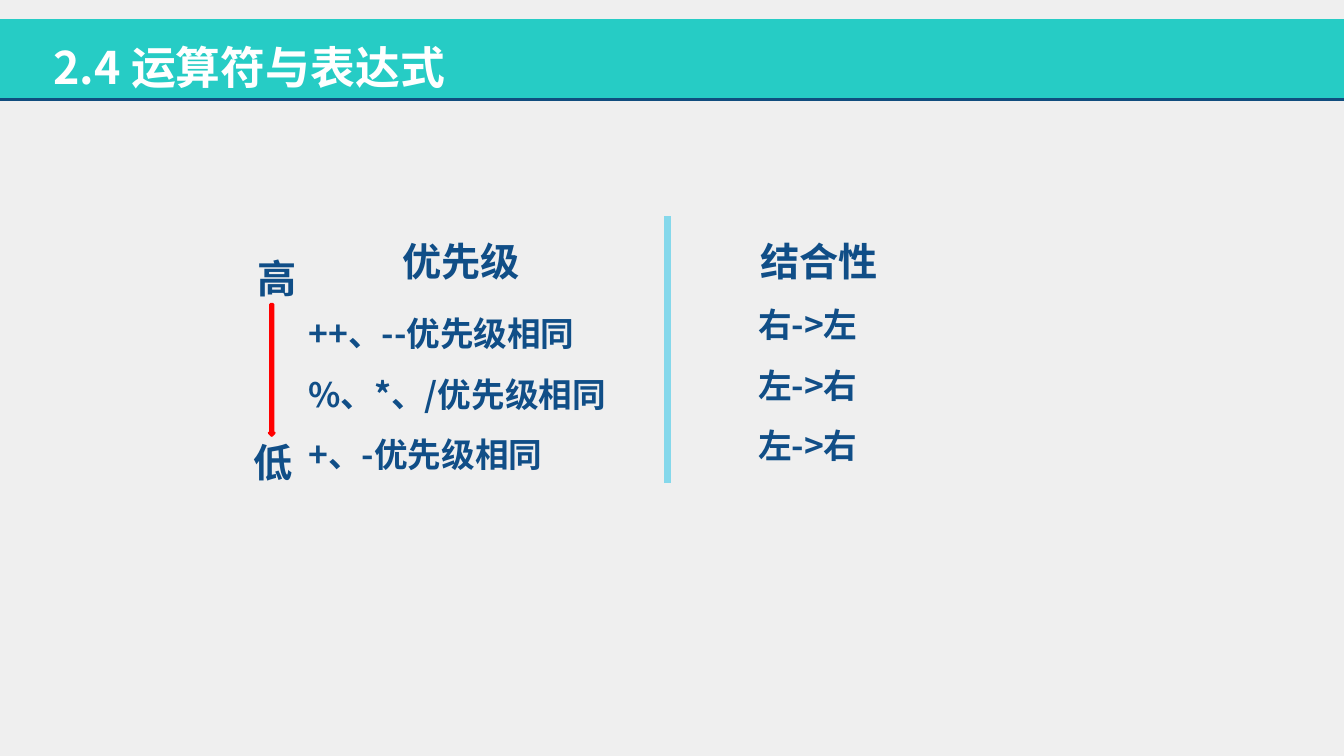
from lxml import etree
from pptx import Presentation
from pptx.dml.color import RGBColor
from pptx.enum.shapes import MSO_CONNECTOR, MSO_SHAPE
from pptx.enum.text import MSO_ANCHOR as ANCHOR, MSO_AUTO_SIZE as AUTO_SIZE, PP_ALIGN as ALIGN
from pptx.oxml.ns import qn
from pptx.util import Inches, Pt

NAVY = "104E87"


def rgb(value):
    return RGBColor.from_string(value)


def write(frame, lines, size, color=NAVY, font="Noto Sans CJK SC", spacing=None):
    frame.word_wrap = True
    frame.auto_size = AUTO_SIZE.NONE
    for i, line in enumerate(lines):
        para = frame.add_paragraph() if i else frame.paragraphs[0]
        para.alignment = ALIGN.LEFT
        if spacing:
            para.line_spacing = spacing
        run = para.add_run()
        run.text = line
        run.font.size, run.font.bold, run.font.name = Pt(size), True, font
        run.font.color.rgb = rgb(color)
        # East Asian typeface
        etree.SubElement(run._r.get_or_add_rPr(), qn("a:ea"), typeface=font)


prs = Presentation()
prs.slide_width, prs.slide_height = Inches(13.33), Inches(7.5)
slide = prs.slides.add_slide(prs.slide_layouts[5])
slide.background.fill.solid()
slide.background.fill.fore_color.rgb = rgb("EFEFEF")
shapes = slide.shapes

# Header band and priority arrow
for kind, box, fill, outline in [
    (MSO_SHAPE.RECTANGLE, (0, 0.19, 13.33, 0.8), "26CCC5", None),
    (MSO_SHAPE.DOWN_ARROW, (2.67, 3.02, 0.05, 1.3), "3B9AE6", "FF0000"),
]:
    part = shapes.add_shape(kind, *map(Inches, box))
    part.shadow.inherit = False
    part.fill.solid()
    part.fill.fore_color.rgb = rgb(fill)
    if outline:
        part.line.color.rgb = rgb(outline)
        part.line.width = Pt(2)
    else:
        part.line.fill.background()

# Header rule and column divider
for ends, color, width in [
    ((0, 0.99, 13.33, 0.99), "104D7E", 2),
    ((6.62, 4.79, 6.62, 2.14), "85D8EB", 4.5),
]:
    rule = shapes.add_connector(MSO_CONNECTOR.STRAIGHT, *map(Inches, ends))
    rule.line.color.rgb = rgb(color)
    rule.line.width = Pt(width)
    etree.SubElement(rule._element.spPr, qn("a:effectLst"))

# Title, placed in front of the band
title = shapes.title
title.left, title.top, title.width, title.height = map(Inches, (0.43, 0.34, 6.68, 0.64))
title.text_frame.vertical_anchor = ANCHOR.TOP
write(title.text_frame, ["2.4 运算符与表达式"], 32, "FFFFFF", "Noto Sans CJK JP")
title.element.getparent().append(title.element)

# Column headings and ends of the priority scale
for label, left, top, width in [
    ("优先级", 3.89, 2.31, 1.98),
    ("结合性", 7.44, 2.31, 1.98),
    ("高", 2.46, 2.47, 0.61),
    ("低", 2.42, 4.3, 0.67),
]:
    heading = shapes.add_textbox(Inches(left), Inches(top), Inches(width), Inches(0.57))
    write(heading.text_frame, [label], 28)

# Operators and their associativity
for rows, left, top, width in [
    (["++、--优先级相同", "%、*、/优先级相同", "+、-优先级相同"], 2.96, 2.88, 3.68),
    (["右->左", "左->右", "左->右"], 7.42, 2.79, 1.92),
]:
    column = shapes.add_textbox(Inches(left), Inches(top), Inches(width), Inches(1.85))
    column.text_frame.vertical_anchor = ANCHOR.MIDDLE
    write(column.text_frame, rows, 24, spacing=1.5)

prs.save("out.pptx")
